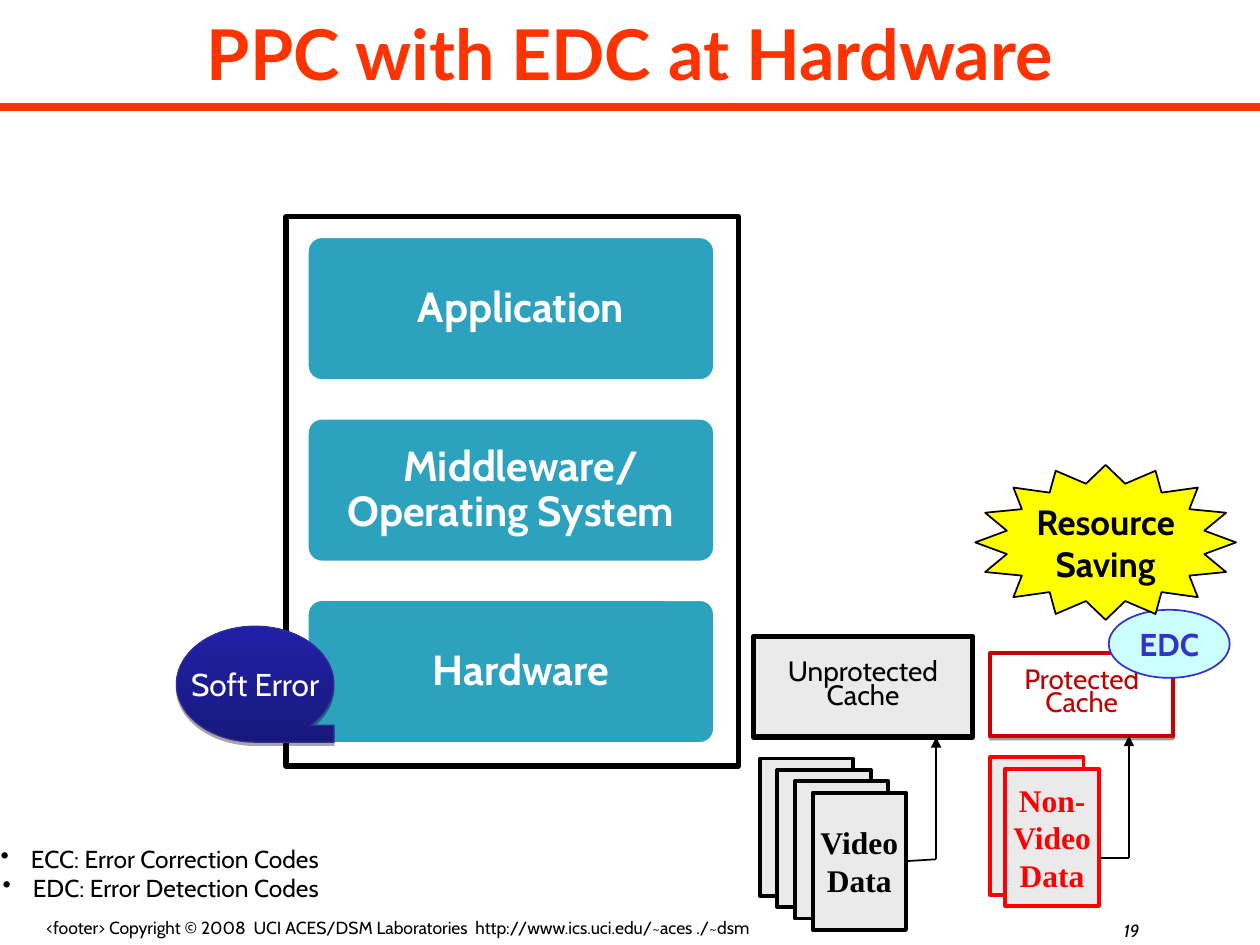
import pptx
import pptx.dml.color
import pptx.enum.shapes
import pptx.enum.text
import pptx.oxml
import pptx.oxml.ns
import pptx.util

PX = 9144  # EMU per px, 100 px to the inch
SHAPE = pptx.enum.shapes.MSO_SHAPE
ALIGN = pptx.enum.text.PP_ALIGN
ANCHOR = pptx.enum.text.MSO_ANCHOR
NS = pptx.oxml.ns.nsdecls("a")

BLACK, WHITE, GREY = "000000", "FFFFFF", "EAEAEA"
ORANGE, RED, TEAL = "FF3300", "FF0000", "2DA2BF"


def rgb(color):
    return pptx.dml.color.RGBColor.from_string(color)


def emu(*lengths):
    return [pptx.util.Emu(n * PX) for n in lengths]


class Deck:
    font = "Cabin"

    def __init__(self, width, height):
        self.prs = pptx.Presentation()
        self.prs.slide_width, self.prs.slide_height = emu(width, height)
        self.s = None

    def add_slide(self):
        self.s = self.prs.slides.add_slide(self.prs.slide_layouts[6])

    def label(self, sp, lines, size, color=BLACK, bold=False, italic=False,
              font=None, align=ALIGN.CENTER, anchor=ANCHOR.MIDDLE, wrap=False,
              spacing=None, after=None, indent=0, bullet=False, inset=(10, 5)):
        """Fill a shape with one paragraph per line."""
        tf = sp.text_frame
        tf.word_wrap = wrap
        tf.vertical_anchor = anchor
        tf.margin_left = tf.margin_right = inset[0] * PX
        tf.margin_top = tf.margin_bottom = inset[1] * PX
        for i, line in enumerate(lines):
            p = tf.add_paragraph() if i else tf.paragraphs[0]
            p.alignment = align
            if spacing:
                p.line_spacing = spacing
            if after:
                p.space_after = pptx.util.Pt(after)
            pPr = p._p.get_or_add_pPr()
            if indent:
                pPr.set("indent", str(indent * PX))
            if bullet:
                pPr.set("marL", str(-indent * PX))
                pPr.append(pptx.oxml.parse_xml(f'<a:buChar {NS} char="•"/>'))
            r = p.add_run()
            r.text = line
            r.font.name = font or self.font
            r.font.size = pptx.util.Pt(size)
            r.font.bold, r.font.italic = bold, italic
            r.font.color.rgb = rgb(color)

    def text(self, box, lines, size, **style):
        sp = self.s.shapes.add_textbox(*emu(*box))
        self.label(sp, lines, size, **style)
        return sp

    def shape(self, kind, box, fill, line, weight, adj=None, shadow=None):
        """Shadow is (opacity in percent, distance in points), cast downwards."""
        sp = self.s.shapes.add_shape(kind, *emu(*box))
        sp.shadow.inherit = False
        if adj is not None:
            sp.adjustments[0] = adj
        if fill is None:
            sp.fill.background()
        elif isinstance(fill, tuple):
            sp.fill.gradient()
            sp.fill.gradient_angle = 90
            for stop, color, position in zip(sp.fill.gradient_stops, fill, (0, 1)):
                stop.color.rgb = rgb(color)
                stop.position = position
        else:
            sp.fill.solid()
            sp.fill.fore_color.rgb = rgb(fill)
        sp.line.color.rgb = rgb(line)
        sp.line.width = pptx.util.Pt(weight)
        if shadow:
            opacity, distance = shadow
            effects = sp._element.spPr.find(pptx.oxml.ns.qn("a:effectLst"))
            effects.append(pptx.oxml.parse_xml(
                f'<a:outerShdw {NS} blurRad="0" dist="{pptx.util.Pt(distance)}" '
                f'dir="5400000" rotWithShape="0"><a:srgbClr val="{BLACK}">'
                f'<a:alpha val="{opacity * 1000}"/></a:srgbClr></a:outerShdw>'))
        return sp

    def line(self, start, end, color=BLACK, weight=1, arrow=False):
        c = self.s.shapes.add_connector(
            pptx.enum.shapes.MSO_CONNECTOR.STRAIGHT, *emu(*start, *end))
        c.line.color.rgb = rgb(color)
        c.line.width = pptx.util.Pt(weight)
        if arrow:
            c._element.spPr.get_or_add_ln().append(
                pptx.oxml.parse_xml(f'<a:tailEnd {NS} type="triangle"/>'))
        c._element.spPr.append(pptx.oxml.parse_xml(f"<a:effectLst {NS}/>"))
        return c

    def page(self, left, top, color):
        return self.shape(SHAPE.RECTANGLE, (left, top, 74, 109), GREY, color, 2.25)


def main():
    deck = Deck(1000, 750)
    deck.add_slide()

    # Title and footer
    deck.line((0, 85), (1000, 85), ORANGE, 4.5)
    deck.text((0, 723, 631, 27),
              ["<footer> Copyright © 2008  UCI ACES/DSM Laboratories  "
               "http://www.ics.uci.edu/~aces ./~dsm"],
              10, anchor=ANCHOR.TOP, wrap=True)
    deck.text((0, 0, 1000, 84), ["PPC with EDC at Hardware"], 40,
              color=ORANGE, bold=True, font="Lato", wrap=True)

    # System layers
    deck.shape(SHAPE.RECTANGLE, (227, 172, 359, 436), None, BLACK, 3)
    layers = ["Application", "Middleware/ Operating System", "Hardware"]
    for i, layer in enumerate(layers):
        sp = deck.shape(SHAPE.ROUNDED_RECTANGLE, (244, 188 + 144 * i, 323, 114),
                        TEAL, WHITE, 1.5, adj=0.1)
        deck.label(sp, [layer], 24, color=WHITE, bold=True, wrap=True,
                   spacing=0.9, after=10.5, indent=16, inset=(9, 9))

    # Caches
    unprotected = deck.shape(SHAPE.RECTANGLE, (598, 505, 174, 80), GREY, BLACK, 3)
    deck.label(unprotected, ["Unprotected", "Cache"], 16, spacing=0.7)
    protected = deck.shape(SHAPE.RECTANGLE, (786, 518, 145, 66), WHITE, "CC0000",
                           2.25, shadow=(38, 1.6))
    deck.label(protected, ["Protected", "Cache"], 16, color="C00000", spacing=0.7)

    # Abbreviations
    notes = deck.text((-19, 665, 282, 57),
                      ["ECC: Error Correction Codes", "EDC: Error Detection Codes"],
                      14, align=ALIGN.RIGHT, anchor=ANCHOR.TOP, indent=-24, bullet=True)
    notes.text_frame.auto_size = pptx.enum.text.MSO_AUTO_SIZE.SHAPE_TO_FIT_TEXT

    # Error source and protection
    error = deck.shape(SHAPE.FLOWCHART_SEQUENTIAL_ACCESS_STORAGE, (140, 497, 125, 92),
                       ("18187C", "2020A6"), "2F2F98", 0.75, shadow=(35, 1.8))
    deck.label(error, ["Soft Error"], 18, color=WHITE)
    edc = deck.shape(SHAPE.OVAL, (880, 484, 96, 54), "CCFFFF", "3333CC", 1)
    deck.label(edc, ["EDC"], 18, color="3333CC", bold=True)

    # Data pages, the front one labelled
    serif = dict(bold=True, font="Times New Roman")
    for left, top in ((786, 601), (798, 610)):
        non_video = deck.page(left, top, RED)
    deck.label(non_video, ["Non-", "Video", "Data"], 18, color=RED, **serif)
    for i in range(4):
        video = deck.page(603 + 14 * i, 602 + 9 * i, BLACK)
    deck.label(video, ["Video", "Data"], 18, **serif)

    # Routes from the data to the caches
    stub = deck.line((719, 682), (743, 682))
    stub.begin_connect(video, 3)
    deck.line((743, 682), (743, 585), arrow=True)
    deck.line((874, 681), (896, 681))
    deck.line((896, 681), (896, 584), arrow=True)

    burst = deck.shape(SHAPE.STAR_16_POINT, (774, 369, 207, 123), "FFFF00", BLACK, 1,
                       adj=0.386)
    deck.label(burst, ["Resource", "Saving"], 20, bold=True)
    deck.text((665, 725, 249, 29), ["19"], 10, italic=True, wrap=True,
              align=ALIGN.RIGHT, anchor=ANCHOR.TOP)

    deck.prs.save("out.pptx")


if __name__ == "__main__":
    main()
